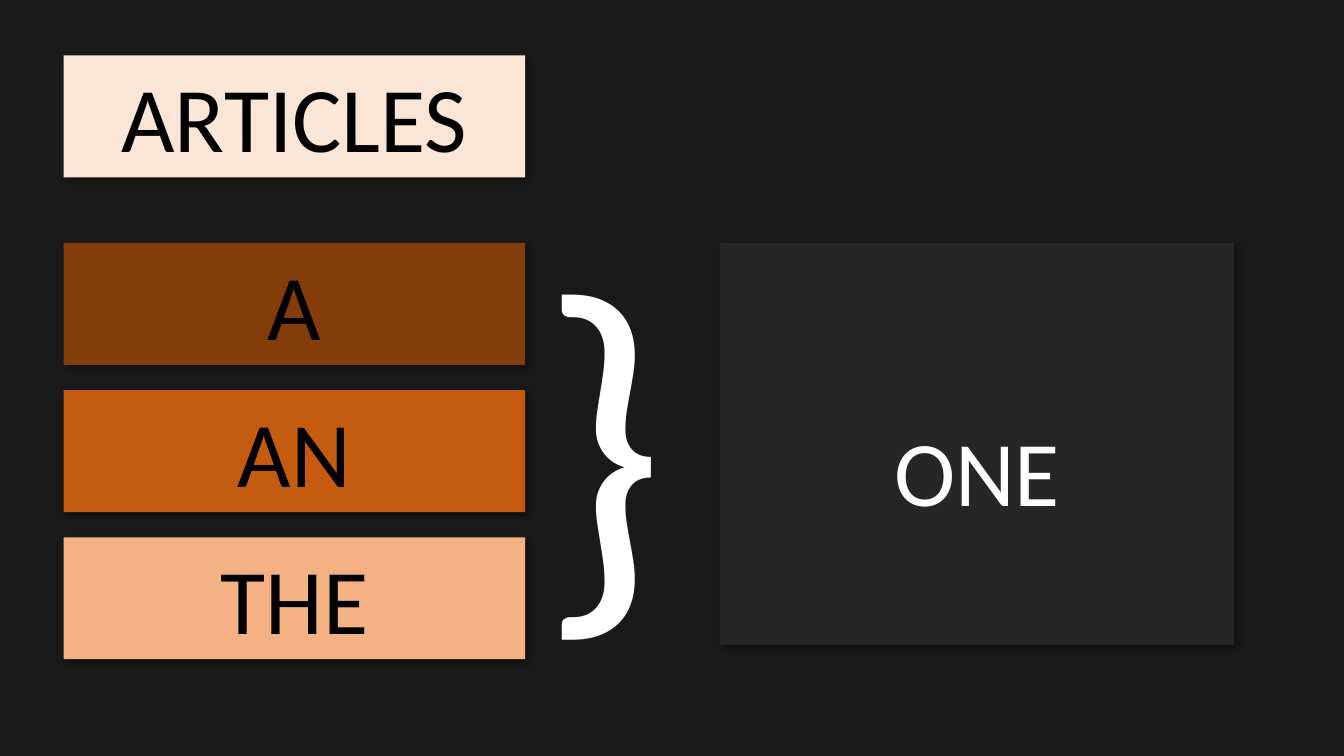
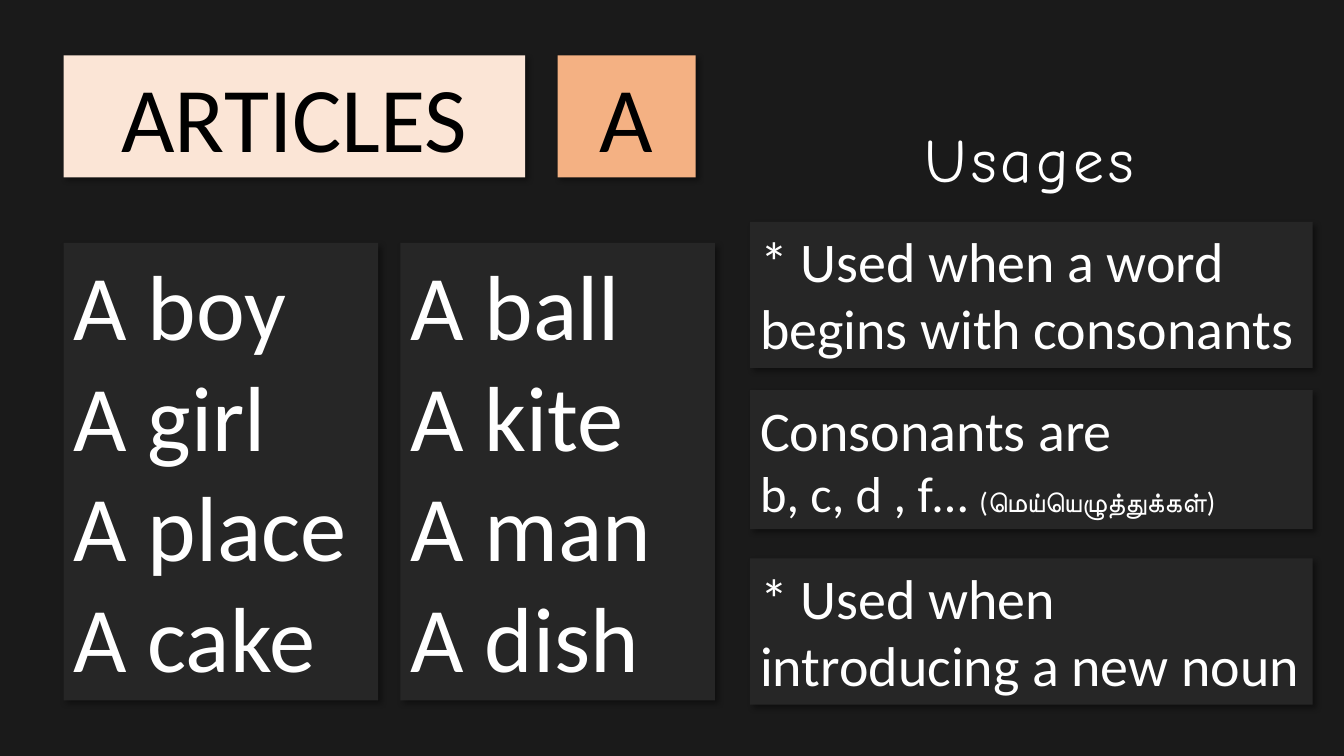
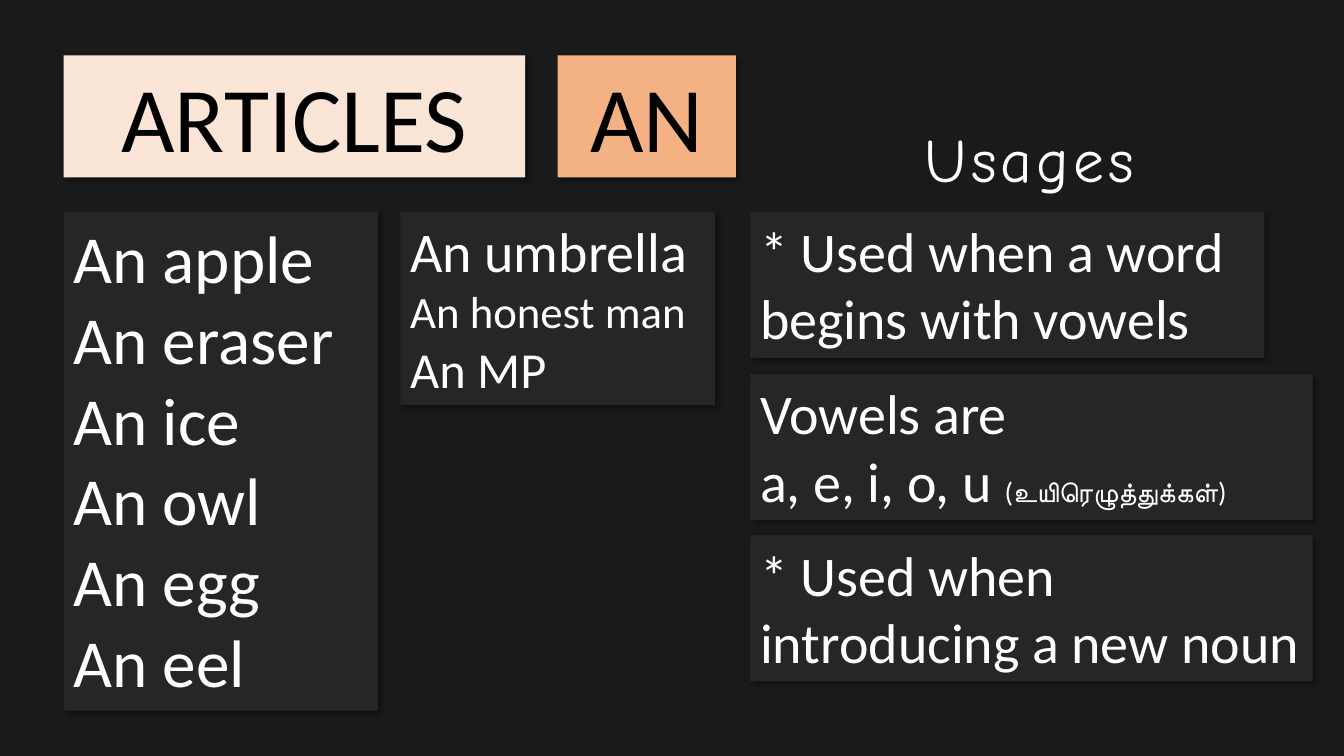
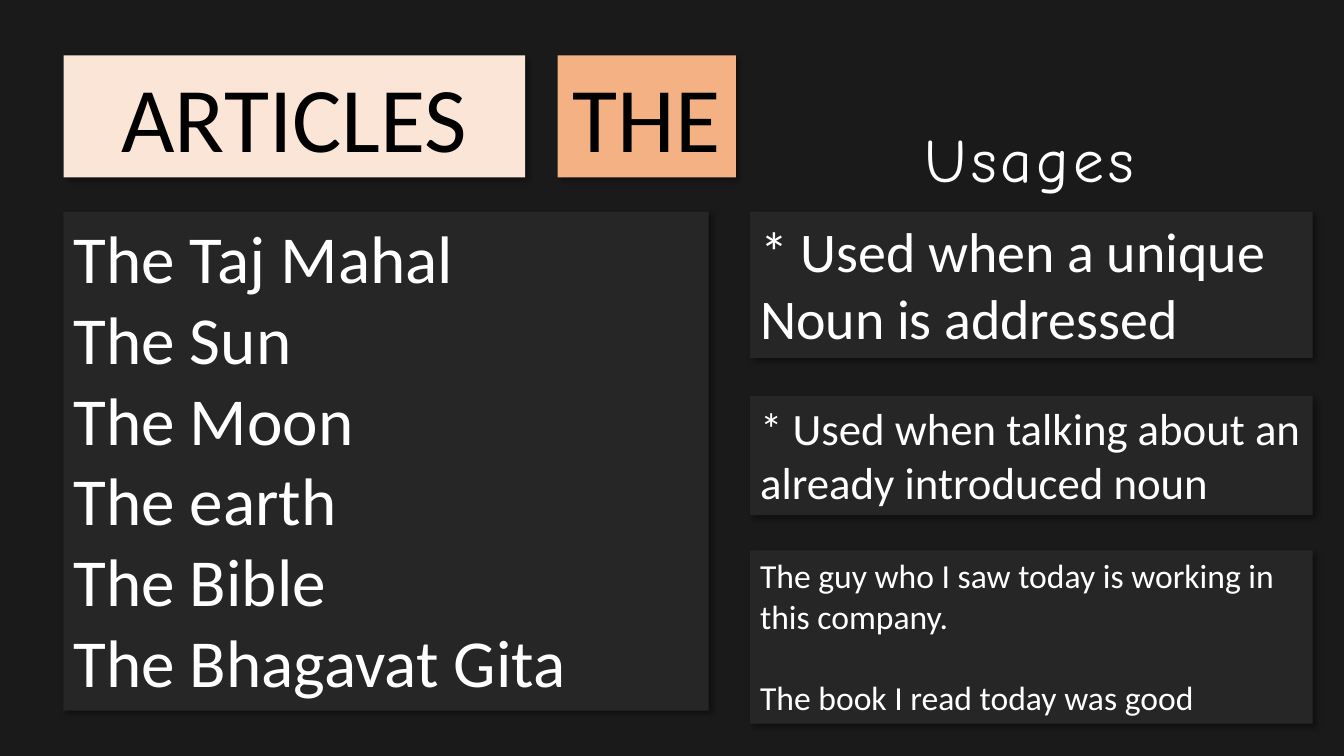
from dataclasses import dataclass

from lxml.etree import SubElement
from pptx import Presentation
from pptx.dml.color import RGBColor
from pptx.enum.shapes import MSO_SHAPE
from pptx.enum.text import MSO_ANCHOR, PP_ALIGN
from pptx.oxml.ns import qn
from pptx.util import Inches, Pt


@dataclass(frozen=True)
class Theme:
    backdrop: str = "1A1A1A"
    panel: str = "262626"
    light: str = "FFFFFF"
    dark: str = "000000"
    cream: str = "FBE5D6"
    brown: str = "843C0B"
    orange: str = "C55A11"
    peach: str = "F4B183"
    body_font: str = "Calibri"
    heading_font: str = "Comic Neue"
    brace: int = 287
    label: int = 66
    word: int = 48
    heading: int = 44
    rule: int = 40
    sample: int = 36
    note: int = 32
    sentence: int = 24
    gloss: int = 20


THEME = Theme()

LEFT, TITLE_TOP = 0.63, 0.55
LABEL_WIDTH, LABEL_HEIGHT = 4.58, 1.21
COLUMN_WIDTH, COLUMN_GAP = 3.12, 0.22
SECOND_COLUMN = LEFT + COLUMN_WIDTH + COLUMN_GAP
USAGE_LEFT, USAGE_WIDTH = 7.44, 5.58
UPPER_TOP, LOWER_TOP = 2.1, 2.41


@dataclass(frozen=True)
class Area:
    left: float
    top: float
    width: float
    height: float

    def lengths(self) -> tuple:
        return tuple(Inches(v) for v in (self.left, self.top, self.width, self.height))


@dataclass(frozen=True)
class Span:
    text: str
    size: int


@dataclass(frozen=True)
class Para:
    spans: tuple[Span, ...]
    before: int = 0


@dataclass(frozen=True)
class Panel:
    area: Area
    paras: list[Para]


@dataclass(frozen=True)
class Lesson:
    article: str
    article_width: float
    panels: list[Panel]


def lines(size: int, *texts: str) -> list[Para]:
    return [Para((Span(text, size),)) for text in texts]


def usage(top: float, height: float, paras: list[Para], width: float = USAGE_WIDTH) -> Panel:
    return Panel(Area(USAGE_LEFT, top, width, height), paras)


def assign(target, formats: dict) -> None:
    for name, value in formats.items():
        setattr(target, name, value)


def write(box, paras: list[Para], color: str, align=PP_ALIGN.LEFT,
          font: str = THEME.body_font, top_inset: float = 0.05, wrap: bool = True) -> None:
    frame = box.text_frame
    assign(frame, {"word_wrap": wrap, "vertical_anchor": MSO_ANCHOR.TOP,
                   "margin_top": Inches(top_inset)})
    for index, content in enumerate(paras):
        para = frame.add_paragraph() if index else frame.paragraphs[0]
        para.alignment = align
        if content.before:
            para.space_before = Pt(content.before)
        for span in content.spans:
            run = para.add_run()
            run.text = span.text
            assign(run.font, {"name": font, "size": Pt(span.size)})
            run.font.color.rgb = RGBColor.from_string(color)


def add_card(page, area: Area, fill: str):
    """Add a borderless rectangle with a soft shadow to the lower right."""
    box = page.shapes.add_shape(MSO_SHAPE.RECTANGLE, *area.lengths())
    box.fill.solid()
    box.fill.fore_color.rgb = RGBColor.from_string(fill)
    box.line.fill.background()
    box.shadow.inherit = False
    effects = box._element.spPr.find(qn("a:effectLst"))
    shadow = SubElement(effects, qn("a:outerShdw"), blurRad=str(Pt(4)), dist=str(Pt(3)),
                        dir="2700000", algn="tl", rotWithShape="0")
    color = SubElement(shadow, qn("a:srgbClr"), val=THEME.dark)
    SubElement(color, qn("a:alpha"), val="40000")
    return box


def add_label(page, text: str, fill: str, left: float = LEFT, top: float = TITLE_TOP,
              width: float = LABEL_WIDTH) -> None:
    box = add_card(page, Area(left, top, width, LABEL_HEIGHT), fill)
    write(box, lines(THEME.label, text), THEME.dark, PP_ALIGN.CENTER)


def add_page(deck):
    """Add a dark page with the shared title."""
    page = deck.slides.add_slide(deck.slide_layouts[6])
    fill = page.background.fill
    fill.solid()
    fill.fore_color.rgb = RGBColor.from_string(THEME.backdrop)
    add_label(page, "ARTICLES", THEME.cream)
    return page


def add_overview(deck) -> None:
    page = add_page(deck)
    articles = (("A", THEME.brown), ("AN", THEME.orange), ("THE", THEME.peach))
    for row, (article, fill) in enumerate(articles):
        add_label(page, article, fill, top=LOWER_TOP + row * (LABEL_HEIGHT + 0.25))
    brace = page.shapes.add_textbox(*Area(3.69, 1.77, LABEL_WIDTH, 4.93).lengths())
    write(brace, lines(THEME.brace, "}"), THEME.light, PP_ALIGN.CENTER)
    meaning = add_card(page, Area(7.14, LOWER_TOP, 5.1, 3.99), THEME.panel)
    write(meaning, lines(THEME.label, "ONE"), THEME.light, PP_ALIGN.CENTER, top_inset=1.7)


def add_lesson(deck, lesson: Lesson) -> None:
    page = add_page(deck)
    add_label(page, lesson.article, THEME.peach, left=5.53, width=lesson.article_width)
    for panel in lesson.panels:
        write(add_card(page, panel.area, THEME.panel), panel.paras, THEME.light)
    heading = page.shapes.add_textbox(*Area(9.07, 1.15, 2.31, 0.84).lengths())
    write(heading, lines(THEME.heading, "Usages"), THEME.light,
          font=THEME.heading_font, wrap=False)
    for run in heading.text_frame.paragraphs[0].runs:
        run._r.get_or_add_rPr().set("spc", "300")


NEW_NOUN = lines(THEME.rule, "* Used when introducing a new noun")

LESSONS = [
    Lesson("A", 1.37, [
        Panel(Area(LEFT, LOWER_TOP, COLUMN_WIDTH, 4.54),
              lines(THEME.label, "A boy", "A girl", "A place", "A cake")),
        Panel(Area(SECOND_COLUMN, LOWER_TOP, COLUMN_WIDTH, 4.54),
              lines(THEME.label, "A ball", "A kite", "A man", "A dish")),
        usage(2.2, 1.45, lines(THEME.rule, "* Used when a word begins with consonants")),
        usage(3.87, 1.38, lines(THEME.rule, "Consonants are") + [
            Para((Span("b, c, d , f… ", THEME.sample),
                  Span("(மெய்யெழுத்துக்கள்)", THEME.gloss)))]),
        usage(5.54, 1.45, NEW_NOUN),
    ]),
    Lesson("AN", 1.77, [
        Panel(Area(LEFT, UPPER_TOP, COLUMN_WIDTH, 4.95),
              lines(THEME.word, "An apple", "An eraser", "An ice", "An owl", "An egg", "An eel")),
        Panel(Area(SECOND_COLUMN, UPPER_TOP, COLUMN_WIDTH, 1.92),
              lines(THEME.rule, "An umbrella") + lines(THEME.note, "An honest man")
              + lines(THEME.sample, "An MP")),
        usage(UPPER_TOP, 1.45, lines(THEME.rule, "* Used when a word begins with vowels"), 5.1),
        usage(3.71, 1.45, lines(THEME.rule, "Vowels are") + [
            Para((Span("a, e, i, o, u ", THEME.rule),
                  Span("(உயிரெழுத்துக்கள்)", THEME.gloss)))]),
        usage(5.31, 1.45, NEW_NOUN),
    ]),
    Lesson("THE", 1.77, [
        Panel(Area(LEFT, UPPER_TOP, 6.4, 4.95),
              lines(THEME.word, "The Taj Mahal", "The Sun", "The Moon", "The earth",
                    "The Bible", "The Bhagavat Gita")),
        usage(UPPER_TOP, 1.45, lines(THEME.rule, "* Used when a unique", "Noun is addressed")),
        usage(3.93, 1.18, lines(THEME.note,
                                "* Used when talking about an already introduced noun")),
        usage(5.46, 1.72, lines(THEME.sentence,
                                "The guy who I saw today is working in this company.") + [
            Para((Span("The book I read today was good", THEME.sentence),), before=29)]),
    ]),
]


def main() -> None:
    deck = Presentation()
    assign(deck, {"slide_width": Inches(13.33), "slide_height": Inches(7.5)})
    add_overview(deck)
    for lesson in LESSONS:
        add_lesson(deck, lesson)
    deck.save("out.pptx")


if __name__ == "__main__":
    main()
